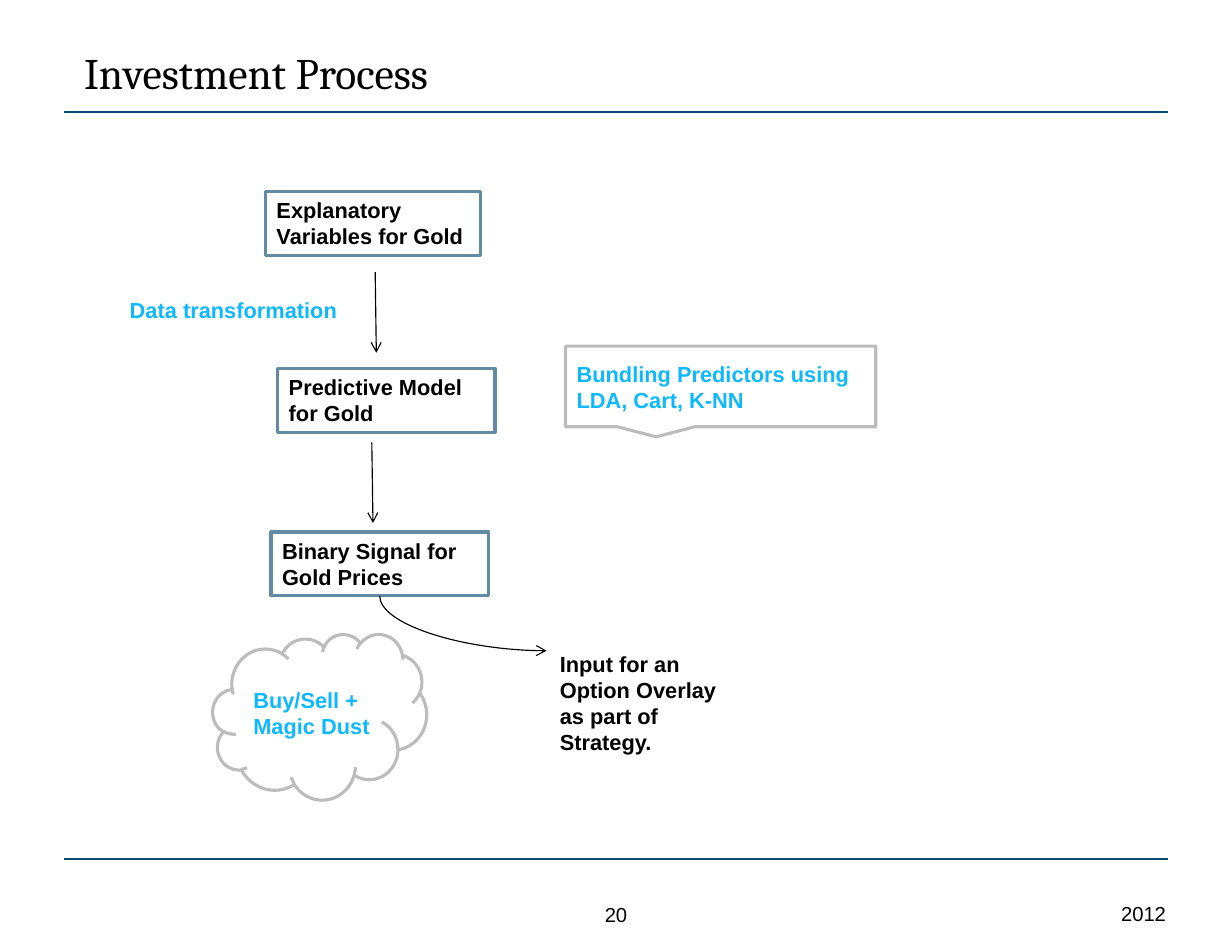
from lxml import etree
from pptx import Presentation
from pptx.dml.color import RGBColor
from pptx.enum.shapes import MSO_CONNECTOR, MSO_SHAPE
from pptx.enum.text import MSO_ANCHOR, PP_ALIGN
from pptx.oxml.ns import qn
from pptx.util import Inches, Pt

WIDTH, HEIGHT = 11, 8.5
MARGIN = 0.57
BOX_HEIGHT = 0.57

BLACK = RGBColor(0x00, 0x00, 0x00)
WHITE = RGBColor(0xFF, 0xFF, 0xFF)
TEAL = RGBColor(0x00, 0x4D, 0x6D)
STEEL = RGBColor(0x63, 0x8B, 0xA3)
GREY = RGBColor(0xBC, 0xBC, 0xBC)
SKY = RGBColor(0x0E, 0xB8, 0xFF)


def write_text(shape, text, size=14, font="Arial", color=BLACK, bold=True,
               align=PP_ALIGN.LEFT, anchor=MSO_ANCHOR.TOP, wrap=True,
               right_inset=0.1):
    frame = shape.text_frame
    frame.word_wrap = wrap
    frame.vertical_anchor = anchor
    frame.margin_left = Inches(0.1)
    frame.margin_right = Inches(right_inset)
    frame.margin_top = frame.margin_bottom = Inches(0.05)
    paragraph = frame.paragraphs[0]
    paragraph.text = text
    paragraph.alignment = align
    paragraph.font.size = Pt(size)
    paragraph.font.name = font
    paragraph.font.bold = bold
    paragraph.font.color.rgb = color


def add_label(slide, text, left, top, width, height, **text_format):
    label = slide.shapes.add_textbox(
        Inches(left), Inches(top), Inches(width), Inches(height))
    write_text(label, text, **text_format)


def add_box(slide, text, left, top, width, height, kind=MSO_SHAPE.RECTANGLE,
            outline=STEEL, **text_format):
    shape = slide.shapes.add_shape(
        kind, Inches(left), Inches(top), Inches(width), Inches(height))
    shape.shadow.inherit = False
    shape.fill.solid()
    shape.fill.fore_color.rgb = WHITE
    shape.line.color.rgb = outline
    shape.line.width = Pt(2)
    write_text(shape, text, **text_format)
    return shape


def add_line(slide, start, end, color=BLACK, width=0.75, arrow=False,
             kind=MSO_CONNECTOR.STRAIGHT):
    line = slide.shapes.add_connector(
        kind, *(Inches(length) for length in (*start, *end)))
    line.line.color.rgb = color
    line.line.width = Pt(width)
    if arrow:
        etree.SubElement(line.line._get_or_add_ln(), qn("a:tailEnd"), type="arrow")
    etree.SubElement(line._element.spPr, qn("a:effectLst"))
    return line


def add_quarter_curve(slide, start, end):
    """Arrow that leaves start downwards and reaches end rightwards."""
    across, down = end[0] - start[0], end[1] - start[1]
    center_x, center_y = (start[0] + end[0]) / 2, (start[1] + end[1]) / 2
    # The frame is mirrored, then turned by 270 degrees about its centre
    curve = add_line(slide, (center_x + down / 2, center_y - across / 2),
                     (center_x - down / 2, center_y + across / 2),
                     arrow=True, kind=MSO_CONNECTOR.CURVE)
    properties = curve._element.spPr
    properties.find(qn("a:prstGeom")).set("prst", "curvedConnector2")
    properties.find(qn("a:xfrm")).set("rot", str(270 * 60000))


def add_title(slide, text):
    title = slide.shapes.title
    title.left, title.top = Inches(0.65), Inches(0.36)
    title.width, title.height = Inches(3.28), Inches(0.57)
    write_text(title, text, size=28, font="Cambria", bold=False, wrap=False)


def add_frame(slide):
    # Rules above and below the content
    for y in (7.67, 1):
        add_line(slide, (MARGIN, y), (WIDTH - MARGIN, y), color=TEAL, width=1)
    # Footer: year and page number
    footer = dict(size=13, bold=False, anchor=MSO_ANCHOR.MIDDLE)
    add_label(slide, "2012", 6.03, 7.98, 4.38, 0.35,
              align=PP_ALIGN.RIGHT, right_inset=0, **footer)
    add_label(slide, "20", 4.95, 7.99, 1.1, 0.34,
              align=PP_ALIGN.CENTER, **footer)


def add_process(slide):
    # Steps from top to bottom
    steps = [
        ("Explanatory Variables for Gold", 2.37, 1.71, 1.92),
        ("Predictive Model for Gold", 2.48, 3.29, 1.94),
        ("Binary Signal for Gold Prices", 2.42, 4.75, 1.94),
    ]
    for text, left, top, width in steps:
        add_box(slide, text, left, top, width, BOX_HEIGHT)

    # Arrows between the steps
    for x, y in ((3.35, 2.43), (3.32, 3.95)):
        add_line(slide, (x, y), (x + 0.01, y + 0.72), arrow=True)
    add_label(slide, "Data transformation", 1.06, 2.6, 2.05, 0.34,
              color=SKY, wrap=False)

    # Branch to the option overlay
    add_quarter_curve(slide, (3.39, 5.32), (4.88, 5.81))
    add_label(slide, "Input for an Option Overlay as part of Strategy.",
              4.9, 5.76, 1.81, 1.04)


def add_remarks(slide):
    remark = dict(outline=GREY, color=SKY, anchor=MSO_ANCHOR.MIDDLE)
    callout = add_box(slide, "Bundling Predictors using LDA, Cart, K-NN",
                      5.05, 3.09, 2.77, 0.72,
                      kind=MSO_SHAPE.RECTANGULAR_CALLOUT, **remark)
    callout.adjustments[0] = -0.208
    callout.adjustments[1] = 0.625
    add_box(slide, "Buy/Sell + Magic Dust", 1.9, 5.66, 1.91, 1.48,
            kind=MSO_SHAPE.CLOUD, **remark)


def main():
    presentation = Presentation()
    presentation.slide_width = Inches(WIDTH)
    presentation.slide_height = Inches(HEIGHT)
    slide = presentation.slides.add_slide(presentation.slide_layouts[5])
    add_frame(slide)
    add_title(slide, "Investment Process")
    add_process(slide)
    add_remarks(slide)
    presentation.save("out.pptx")


if __name__ == "__main__":
    main()
